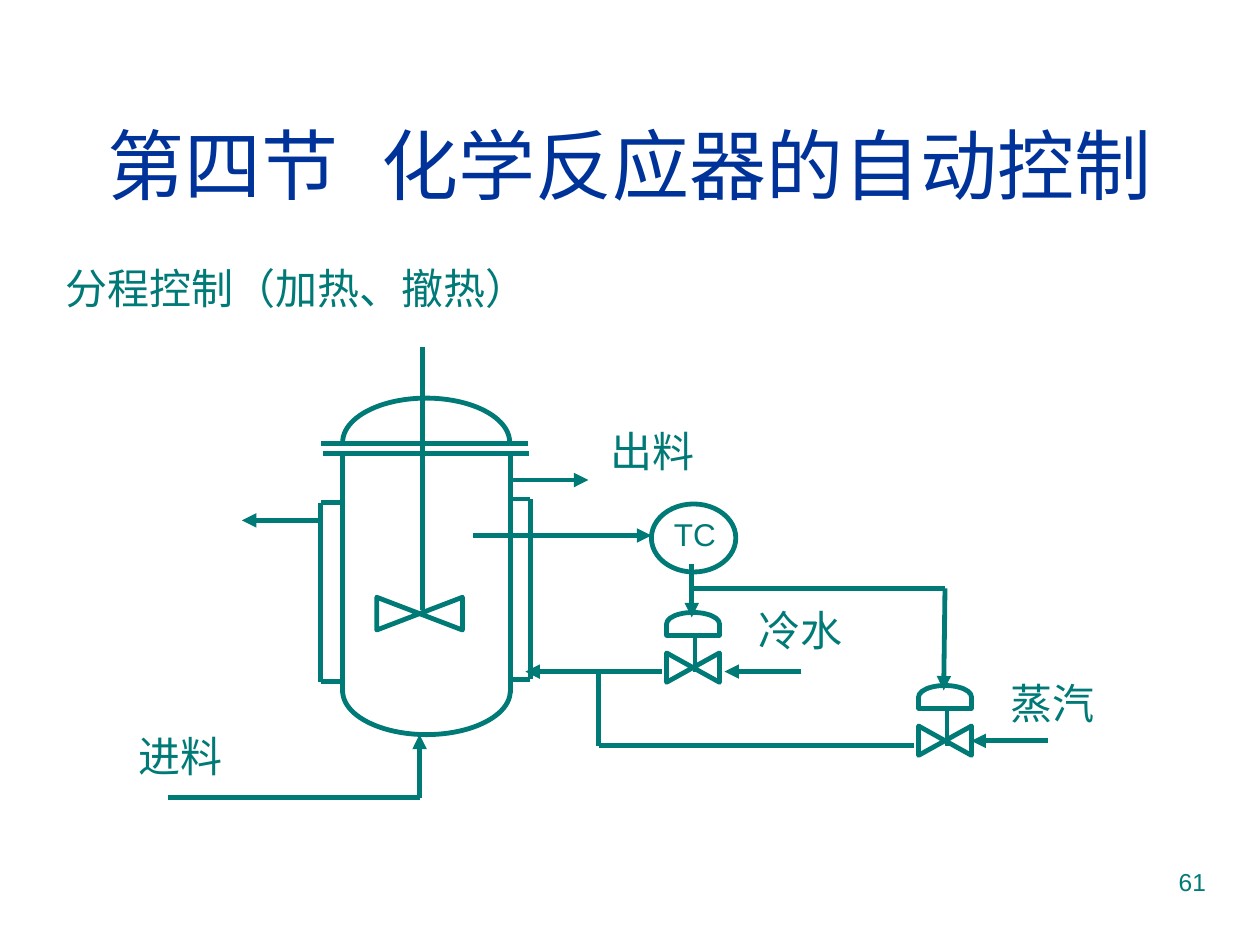
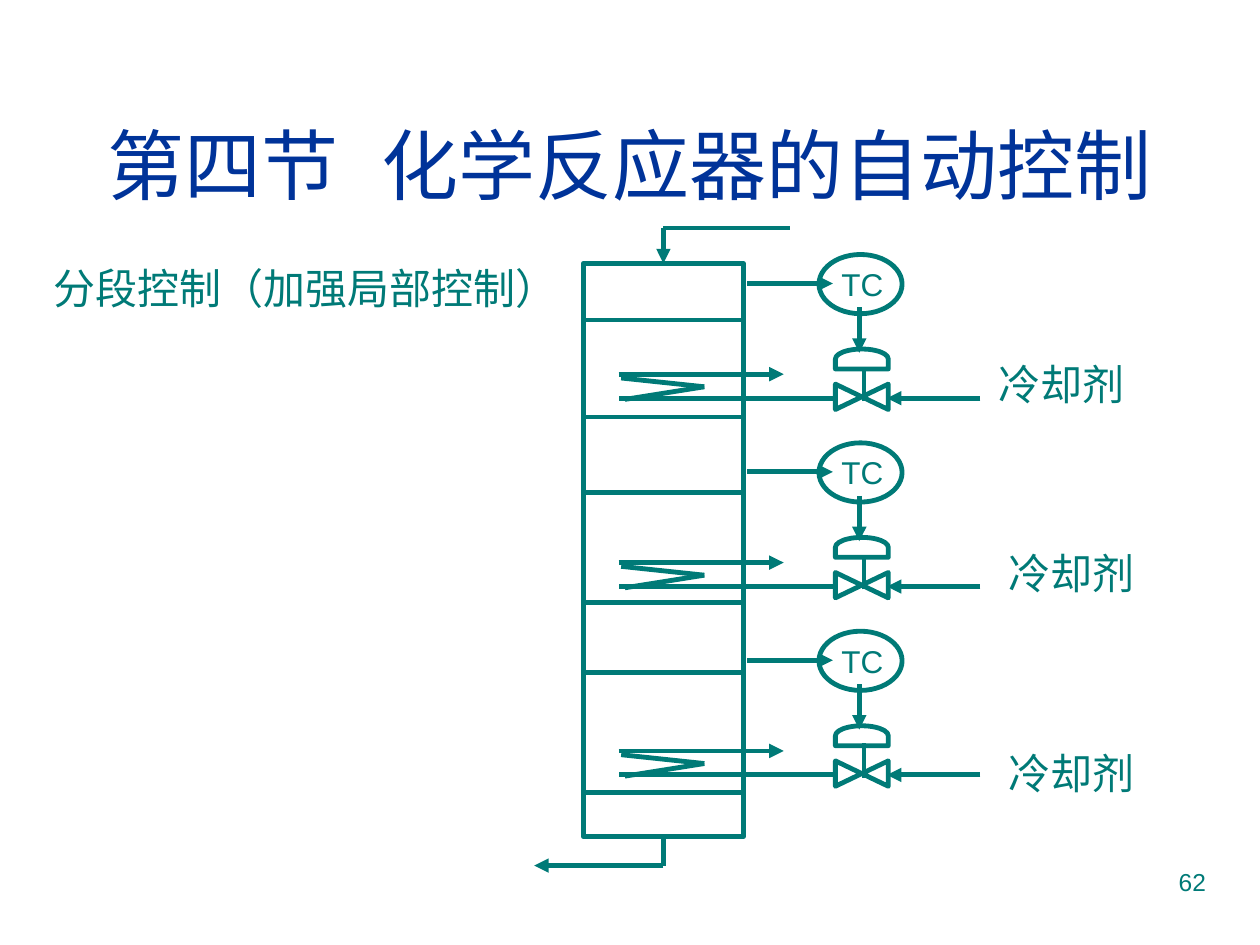
import dataclasses
import itertools

import lxml.etree
import pptx
import pptx.dml.color
import pptx.enum.shapes
import pptx.enum.text
import pptx.oxml.ns
import pptx.util

SHAPES = pptx.enum.shapes.MSO_SHAPE
ALIGN = pptx.enum.text.PP_ALIGN
ANCHOR = pptx.enum.text.MSO_ANCHOR
TEAL, NAVY = "007A77", "003399"
FONT = "Arial"
LINE_WIDTH = pptx.util.Pt(2.75)
SLIDE_WIDTH, SLIDE_HEIGHT = pptx.util.Inches(10), pptx.util.Inches(7.5)
STAGE_PITCH = 14.95


@dataclasses.dataclass
class Box:
    """A rectangle in EMU, divided into a grid of columns and rows."""
    left: float
    top: float
    width: float
    height: float
    columns: float
    rows: float

    def point(self, column, row):
        return (int(self.left + self.width * column / self.columns),
                int(self.top + self.height * row / self.rows))

    def region(self, column, row, columns, rows):
        """A smaller box that keeps the cell size of this one."""
        left, top = self.point(column, row)
        return Box(left, top, self.width * columns / self.columns,
                   self.height * rows / self.rows, columns, rows)

    def in_shares(self):
        return dataclasses.replace(self, columns=1, rows=1)

    def frame(self):
        return [int(n) for n in (self.left, self.top, self.width, self.height)]


SLIDE = Box(0, 0, SLIDE_WIDTH, SLIDE_HEIGHT, 100, 75)


def color(value):
    return pptx.dml.color.RGBColor.from_string(value)


def set_format(target, values):
    for name, value in values.items():
        setattr(target, name, value)


def draw_line_style(shape):
    shape.line.color.rgb = color(TEAL)
    shape.line.width = LINE_WIDTH


def add_text(page, box, pieces, size=24, fill=TEAL, anchor=ANCHOR.TOP, **para_format):
    """Write one paragraph; each piece is a text and its letter spacing in points."""
    frame = page.shapes.add_textbox(*box.frame()).text_frame
    set_format(frame, {"word_wrap": True, "vertical_anchor": anchor})
    para = frame.paragraphs[0]
    set_format(para, para_format)
    for text, spacing in pieces:
        span = para.add_run()
        span.text = text
        set_format(span.font, {"name": FONT, "size": pptx.util.Pt(size)})
        span.font.color.rgb = color(fill)
        properties = span._r.get_or_add_rPr()
        east_asian = lxml.etree.SubElement(properties, pptx.oxml.ns.qn("a:ea"))
        east_asian.set("typeface", FONT)
        if spacing:
            properties.set("spc", str(spacing * 100))


def add_label(page, box, text, size=24):
    add_text(page, box, [(text, 0)], size)


def add_outline(page, kind, box, turned=False):
    """Draw an unfilled shape; a turned one is rotated to fill the box upright."""
    left, top, width, height = box.frame()
    if turned:
        left, top = left + (width - height) // 2, top + (height - width) // 2
        width, height = height, width
    shape = page.shapes.add_shape(kind, left, top, width, height)
    shape.rotation = 270 if turned else 0
    shape.shadow.inherit = False
    shape.fill.background()
    draw_line_style(shape)
    return shape


def add_pipe(page, box, *points, arrow=False):
    """Join the points by straight lines, with an arrowhead on the last one."""
    lines = []
    for start, end in itertools.pairwise(points):
        line = page.shapes.add_connector(pptx.enum.shapes.MSO_CONNECTOR.STRAIGHT,
                                         *box.point(*start), *box.point(*end))
        draw_line_style(line)
        lxml.etree.SubElement(line._element.spPr, pptx.oxml.ns.qn("a:effectLst"))
        lines.append(line)
    if arrow:
        head = lxml.etree.SubElement(lines[-1].line._get_or_add_ln(),
                                     pptx.oxml.ns.qn("a:tailEnd"))
        head.set("type", "triangle")
    return lines


def add_arc(page, box, start, end):
    """Draw a stretch of an ellipse, clockwise between two angles in degrees."""
    arc = add_outline(page, SHAPES.ARC, box)
    for index, angle in enumerate((start, end)):
        arc.adjustments[index] = angle * 0.6


def add_controller(page, box):
    add_outline(page, SHAPES.OVAL, box)
    label = box.in_shares().region(0.12, 0.07, 1, 0.8)
    add_label(page, label, "TC", 18)


def add_valve(page, box):
    box = box.in_shares()
    add_outline(page, SHAPES.FLOWCHART_COLLATE, box.region(0, 0.58, 1, 0.42), turned=True)
    add_outline(page, SHAPES.FLOWCHART_DELAY, box.region(0, 0, 1, 0.33), turned=True)
    add_pipe(page, box, (0.54, 0.86), (0.54, 0.29))


def add_page(deck, topic, topic_left, number):
    """Start a slide with the shared title, topic line and page number."""
    page = deck.slides.add_slide(deck.slide_layouts[6])
    add_text(page, SLIDE.region(71.7, 68.3, 25, 5.2), [(str(number), 0)], 14,
             alignment=ALIGN.RIGHT)
    title = [("第四节", 0), (" ", 12), ("化学反应器的自动控制", 0)]
    add_text(page, SLIDE.region(3.3, 6.7, 93.4, 12.5), title, 44, NAVY, ANCHOR.MIDDLE,
             alignment=ALIGN.CENTER)
    add_text(page, SLIDE.region(topic_left, 20.8, 93.4, 6.4), [(topic, 0)],
             line_spacing=0.9)
    return page


def add_reactor(page, box):
    """Draw the stirred vessel with its domes, flanges and jacket."""
    left_wall, right_wall = 2.2, 15.5
    for wall in (left_wall, right_wall):
        add_pipe(page, box, (wall, 9), (wall, 28))
    add_arc(page, box.region(left_wall, 4.6, 13.25, 7), 180, 0)
    add_arc(page, box.region(left_wall, 24.4, 13.3, 6.9), 0, 180)
    for left, right, row in ((0.5, 16.9, 8.2), (0.6, 17, 9)):
        add_pipe(page, box, (left, row), (right, row))
    for wall, jacket, top, bottom in ((2, 0.45, 12.9, 27.1),
                                      (right_wall, 17.1, 12.6, 26.9)):
        add_pipe(page, box, (wall, top), (jacket, top), (jacket, bottom), (wall, bottom))
    add_pipe(page, box, (8.5, 0.5), (8.5, 21.4))
    add_outline(page, SHAPES.FLOWCHART_COLLATE, box.region(4.9, 20.4, 6.8, 2.6), turned=True)


def add_split_range_loop(page, box):
    """Draw the controller, both control valves and the pipes between them."""
    add_controller(page, box.region(14.2, 2.5, 6.7, 5.4))
    for column, row in ((15.4, 11.1), (35.4, 16.9)):
        add_valve(page, box.region(column, row, 4.2, 5.55))
    flows = [
        [(0, 5), (14.2, 5)],
        [(17.4, 7.3), (17.4, 11.5)],
        [(17.5, 9.2), (37.5, 9.2), (37.4, 17.3)],
        [(15, 15.8), (4.2, 15.8)],
        [(26.1, 15.8), (20, 15.8)],
        [(45.7, 21.3), (39.6, 21.3)],
    ]
    for flow in flows:
        add_pipe(page, box, *flow, arrow=True)
    add_pipe(page, box, (10, 15.8), (10, 21.7), (35, 21.7))


def add_split_range_page(deck):
    page = add_page(deck, "分程控制（加热、撤热）", 4.2, 61)
    add_reactor(page, SLIDE.region(25, 27, 17, 31.5))
    add_split_range_loop(page, SLIDE.region(37.5, 37.5, 46, 22))
    for flow in ([(40.6, 38.1), (46.7, 38.1)],
                 [(25.3, 41.3), (19.2, 41.3)],
                 [(13.3, 63.3), (33.3, 63.3), (33.3, 58.3)]):
        add_pipe(page, SLIDE, *flow, arrow=True)
    for text, column, row in (("冷水", 59.2, 47.5), ("蒸汽", 79.2, 53.3),
                              ("出料", 47.5, 33.3), ("进料", 10, 57.5)):
        add_label(page, SLIDE.region(column, row, 15, 5), text)


def add_column(page, box):
    """Draw the sectioned column with its inlet, outlet and section lines."""
    shell = add_outline(page, SHAPES.RECTANGLE, box)
    middle = box.columns / 2
    inlet = add_pipe(page, box, (16.4, -2.8), (middle, -2.8), (middle, 0), arrow=True)
    inlet[-1].end_connect(shell, 0)
    outlet = add_pipe(page, box, (middle, box.rows), (middle, 47.8), (-3.9, 47.8),
                      arrow=True)
    outlet[0].begin_connect(shell, 2)
    for row in (4.5, 12.2, 18.2, 26.9, 32.5, 42):
        add_pipe(page, box, (0, row), (12.9, row))


def add_cooling_stage(page, box):
    """Draw one section's cooling coil with its temperature loop."""
    add_valve(page, box.region(20.3, 7.7, 4.2, 4.8))
    add_controller(page, box.region(19, 0.2, 6.6, 4.7))
    for flow in ([(31.8, 11.6), (24.4, 11.6)],
                 [(22.2, 4.4), (22.2, 8)],
                 [(3.1, 9.7), (16.2, 9.7)],
                 [(13.3, 2.5), (20.1, 2.5)]):
        add_pipe(page, box, *flow, arrow=True)
    add_pipe(page, box, (20.1, 11.6), (3.1, 11.6))
    add_pipe(page, box, (3.6, 11.7), (9.9, 10.7), (3.3, 10))


def add_staged_page(deck):
    page = add_page(deck, "分段控制（加强局部控制）", 3.3, 62)
    add_column(page, SLIDE.region(46.3, 20.9, 12.7, 45.5))
    coolant_labels = [(78.3, 28), (79.1, 43), (79.1, 58.8)]
    for stage, (column, row) in enumerate(coolant_labels):
        add_cooling_stage(page, SLIDE.region(46, 20 + stage * STAGE_PITCH, 33, 13))
        add_label(page, SLIDE.region(column, row, 20, 5), "冷却剂")


def main():
    deck = pptx.Presentation()
    set_format(deck, {"slide_width": SLIDE_WIDTH, "slide_height": SLIDE_HEIGHT})
    add_split_range_page(deck)
    add_staged_page(deck)
    deck.save("out.pptx")


if __name__ == "__main__":
    main()
